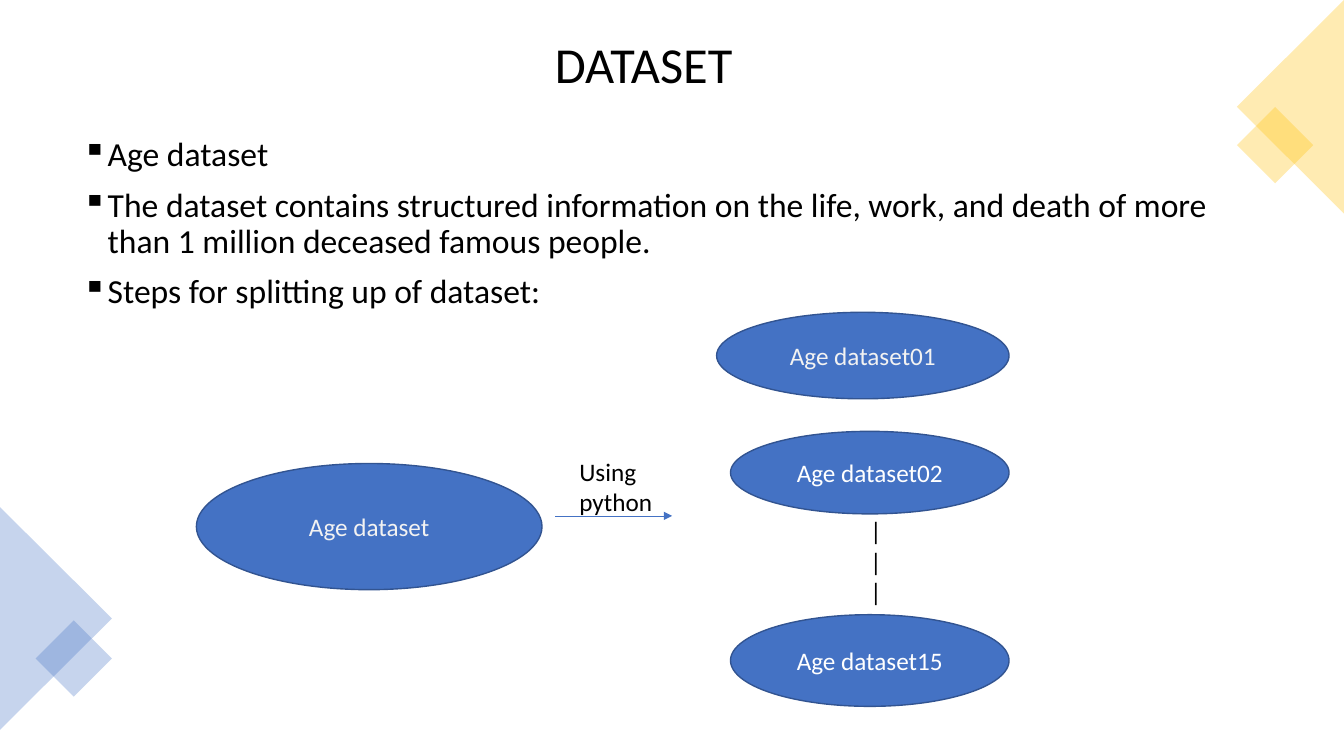
from math import sqrt

from lxml import etree
from pptx import Presentation
from pptx import util as u
from pptx.dml.color import RGBColor
from pptx.enum import shapes, text
from pptx.oxml.ns import qn

BLUE, EDGE, GOLD = "4472C4", "325491", "FFC000"
BLACK, WHITE, PALE = "000000", "FFFFFF", "F2F2F2"
FORM = shapes.MSO_SHAPE
MID = text.PP_ALIGN.CENTER


def color(code):
    return RGBColor.from_string(code)


def cms(*sizes):
    return [u.Cm(size) for size in sizes]


def write(frame, lines, size, tint, align=None):
    """Fill a text frame with one paragraph per line."""
    frame.word_wrap = True
    for i, line in enumerate(lines):
        para = frame.add_paragraph() if i else frame.paragraphs[0]
        para.text = line
        para.alignment = align
        para.font.name = "Calibri"
        para.font.size = u.Pt(size)
        para.font.color.rgb = color(tint)


def label(slide, box, lines, size=18, align=None):
    frame = slide.shapes.add_textbox(*cms(*box)).text_frame
    write(frame, lines, size, BLACK, align)
    return frame


def title(slide, box, line):
    frame = label(slide, box, [line], 36, MID)
    frame.vertical_anchor = text.MSO_ANCHOR.MIDDLE
    frame.paragraphs[0].line_spacing = 0.9


def points(slide, box, lines):
    """Place a bulleted list with hanging indents."""
    for para in label(slide, box, lines, 24).paragraphs:
        para.line_spacing = 0.9
        para.space_before = u.Pt(10)
        props = para._p.get_or_add_pPr()
        props.set("marL", str(u.Cm(0.635)))
        props.set("indent", str(u.Cm(-0.635)))
        etree.SubElement(props, qn("a:buChar")).set("char", "▪")


def shade(slide, form, mid, size, turn, tint):
    """Place a turned, see-through shape around its centre."""
    box = [c - s / 2 for c, s in zip(mid, size)] + list(size)
    shape = slide.shapes.add_shape(form, *cms(*box))
    shape.shadow.inherit = False
    shape.rotation = turn
    shape.line.fill.background()
    shape.fill.solid()
    shape.fill.fore_color.rgb = color(tint)
    fill = shape._element.spPr.find(qn("a:solidFill"))
    etree.SubElement(fill[0], qn("a:alpha")).set("val", "30000")


def corner(slide, box, tint, right=False):
    """Place a triangle on a slide edge, and a diamond at its tip side."""
    x, y, w, h = box
    side = 1.36
    half = side / sqrt(2)
    shade(slide, FORM.ISOSCELES_TRIANGLE, (x + w / 2, y + h / 2), (h, w),
          270 if right else 90, tint)
    across = x + half if right else x + w - half
    shade(slide, FORM.RECTANGLE, (across, y + 0.68 * h), (side, side), 45, tint)


def oval(slide, box, name, tint=WHITE):
    shape = slide.shapes.add_shape(FORM.OVAL, *cms(*box))
    shape.shadow.inherit = False
    shape.fill.solid()
    shape.fill.fore_color.rgb = color(BLUE)
    shape.line.color.rgb = color(EDGE)
    shape.line.width = u.Pt(1)
    shape.text_frame.vertical_anchor = text.MSO_ANCHOR.MIDDLE
    write(shape.text_frame, [name], 18, tint, MID)


def arrow(slide, x, y, w):
    line = slide.shapes.add_connector(
        shapes.MSO_CONNECTOR.STRAIGHT, *cms(x, y, x + w, y))
    line.line.color.rgb = color(BLUE)
    line.line.width = u.Pt(0.5)
    props = line._element.spPr
    etree.SubElement(props.find(qn("a:ln")), qn("a:tailEnd")).set("type", "triangle")
    etree.SubElement(props, qn("a:effectLst"))


def split(slide, box):
    """Draw the source set, the arrow and the column of parts."""
    x, y, w, h = box
    oval(slide, (x, y + 3.81, 8.71, 3.18), "Age dataset", PALE)
    arrow(slide, x + 9.04, y + 5.13, 2.95)
    label(slide, (x + 9.4, y + 3.5, 3.68, 1.8), ["Using python"])
    right = x + w
    oval(slide, (right - 7.37, y, 7.37, 2.18), "Age dataset01", PALE)
    oval(slide, (right - 7.02, y + 3, 7.02, 2.08), "Age dataset02")
    label(slide, (right - 3.75, y + 5, 3.5, 2.56), ["|"] * 3)
    oval(slide, (right - 7.02, y + h - 2.31, 7.02, 2.31), "Age dataset15")


def main():
    deck = Presentation()
    deck.slide_width, deck.slide_height = cms(33.87, 19.05)
    slide = deck.slides.add_slide(deck.slide_layouts[6])
    title(slide, (1.07, 0.63, 30.3, 2.13), "DATASET")
    points(slide, (1.83, 3.35, 29.21, 12.24), [
        "Age dataset",
        "The dataset contains structured information on the life, work, "
        "and death of more than 1 million deceased famous people.",
        "Steps for splitting up of dataset:",
    ])
    corner(slide, (0, 12.78, 2.82, 5.61), BLUE)
    corner(slide, (31.17, 0, 2.7, 5.38), GOLD, right=True)
    split(slide, (4.95, 7.87, 20.48, 9.93))
    deck.save("out.pptx")


if __name__ == "__main__":
    main()
